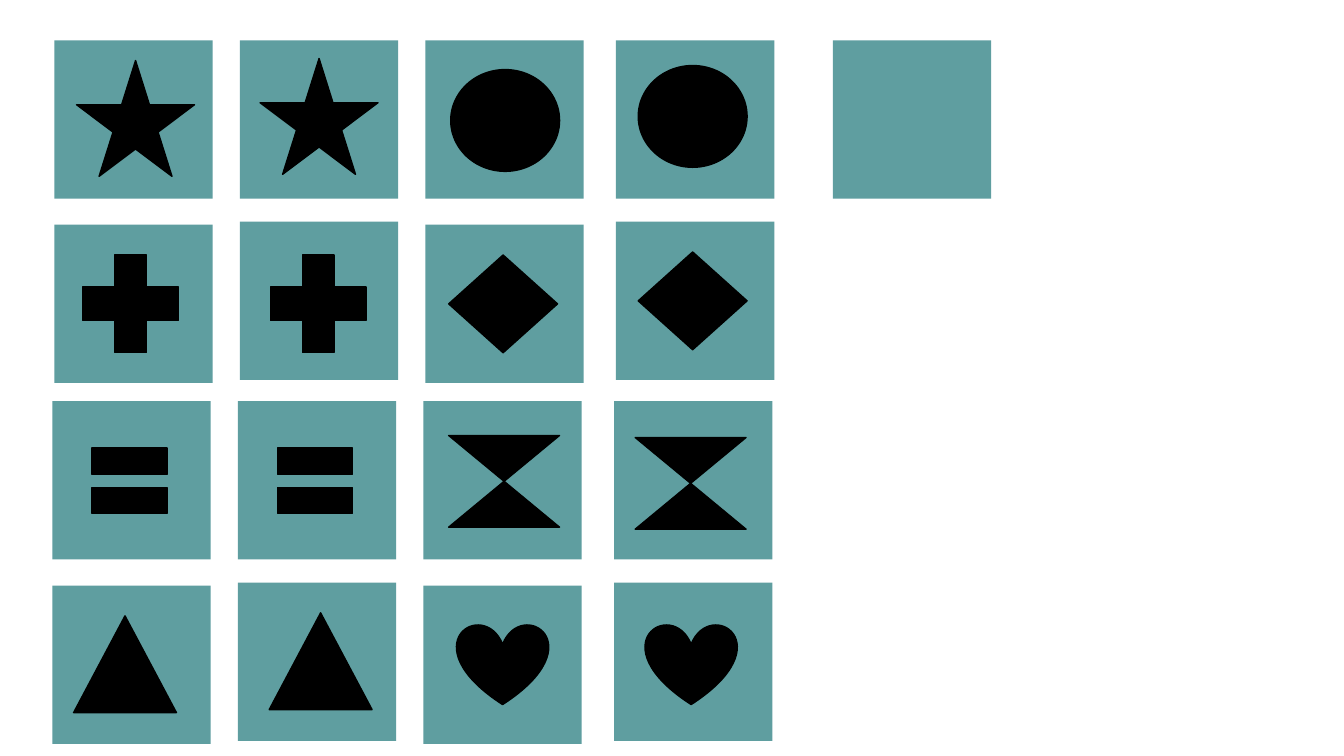
from dataclasses import dataclass
from itertools import product

from pptx import Presentation
from pptx.dml.color import RGBColor
from pptx.enum.shapes import MSO_SHAPE as Kind
from pptx.shapes.autoshape import Shape
from pptx.util import Inches, Pt

TEAL = RGBColor(0x5F, 0x9E, 0xA0)
BLACK = RGBColor(0, 0, 0)

TILE = 1.57
COLUMNS = (0.54, 2.38, 4.22, 6.11, 8.26)
ROWS = (0.4, 2.23, 3.98, 5.81)
LOWER_SHIFT = 0.02
ODD_LIFT = 0.03
SPARE_TILE = (4, 0)

Point = tuple[float, float]


@dataclass(frozen=True)
class SymbolPair:
    kind: Kind
    row: int
    column: int
    size: Point
    offsets: tuple[Point, Point]
    adjustment: float | None = None


PAIRS = (
    SymbolPair(Kind.STAR_5_POINT, 0, 0, (1.17, 1.15), ((0.22, 0.2), (0.2, 0.18))),
    SymbolPair(Kind.OVAL, 0, 2, (1.08, 1.01), ((0.25, 0.29), (0.22, 0.25))),
    SymbolPair(Kind.CROSS, 1, 0, (0.95, 0.97), ((0.28, 0.3), (0.3, 0.33)), 0.335),
    SymbolPair(Kind.FLOWCHART_DECISION, 1, 2, (1.08, 0.97), ((0.23, 0.3), (0.22, 0.3))),
    SymbolPair(Kind.MATH_EQUAL, 2, 0, (1.01, 1.1), ((0.26, 0.24), (0.26, 0.24))),
    SymbolPair(Kind.FLOWCHART_COLLATE, 2, 2, (1.1, 0.91), ((0.25, 0.34), (0.21, 0.36))),
    SymbolPair(Kind.ISOSCELES_TRIANGLE, 3, 0, (1.02, 0.96), ((0.21, 0.3), (0.31, 0.3))),
    SymbolPair(Kind.HEART, 3, 2, (0.91, 0.8), ((0.33, 0.38), (0.31, 0.41))),
)


def tile_origin(column: int, row: int) -> Point:
    x = COLUMNS[column] - (LOWER_SHIFT if row >= 2 else 0)
    y = ROWS[row] - (ODD_LIFT if column % 2 and row % 2 else 0)
    return x, y


def add_filled(kind: Kind, origin: Point, size: Point, color: RGBColor) -> Shape:
    sp = s.shapes.add_shape(kind, *(Inches(v) for v in (*origin, *size)))
    sp.shadow.inherit = False
    sp.fill.solid()
    sp.fill.fore_color.rgb = color
    sp.line.fill.background()
    return sp


def add_tile(column: int, row: int) -> None:
    add_filled(Kind.RECTANGLE, tile_origin(column, row), (TILE, TILE), TEAL)


def add_pair(pair: SymbolPair) -> None:
    for column, (dx, dy) in enumerate(pair.offsets, start=pair.column):
        x, y = tile_origin(column, pair.row)
        sp = add_filled(pair.kind, (x + dx, y + dy), pair.size, BLACK)
        sp.line.color.rgb = BLACK
        sp.line.width = Pt(1)
        if pair.adjustment is not None:
            sp.adjustments[0] = pair.adjustment


prs = Presentation()
prs.slide_width = Inches(13.33)
prs.slide_height = Inches(7.5)
s = prs.slides.add_slide(prs.slide_layouts[6])

for column, row in (*product(range(4), range(4)), SPARE_TILE):
    add_tile(column, row)
for pair in PAIRS:
    add_pair(pair)

prs.save("out.pptx")
